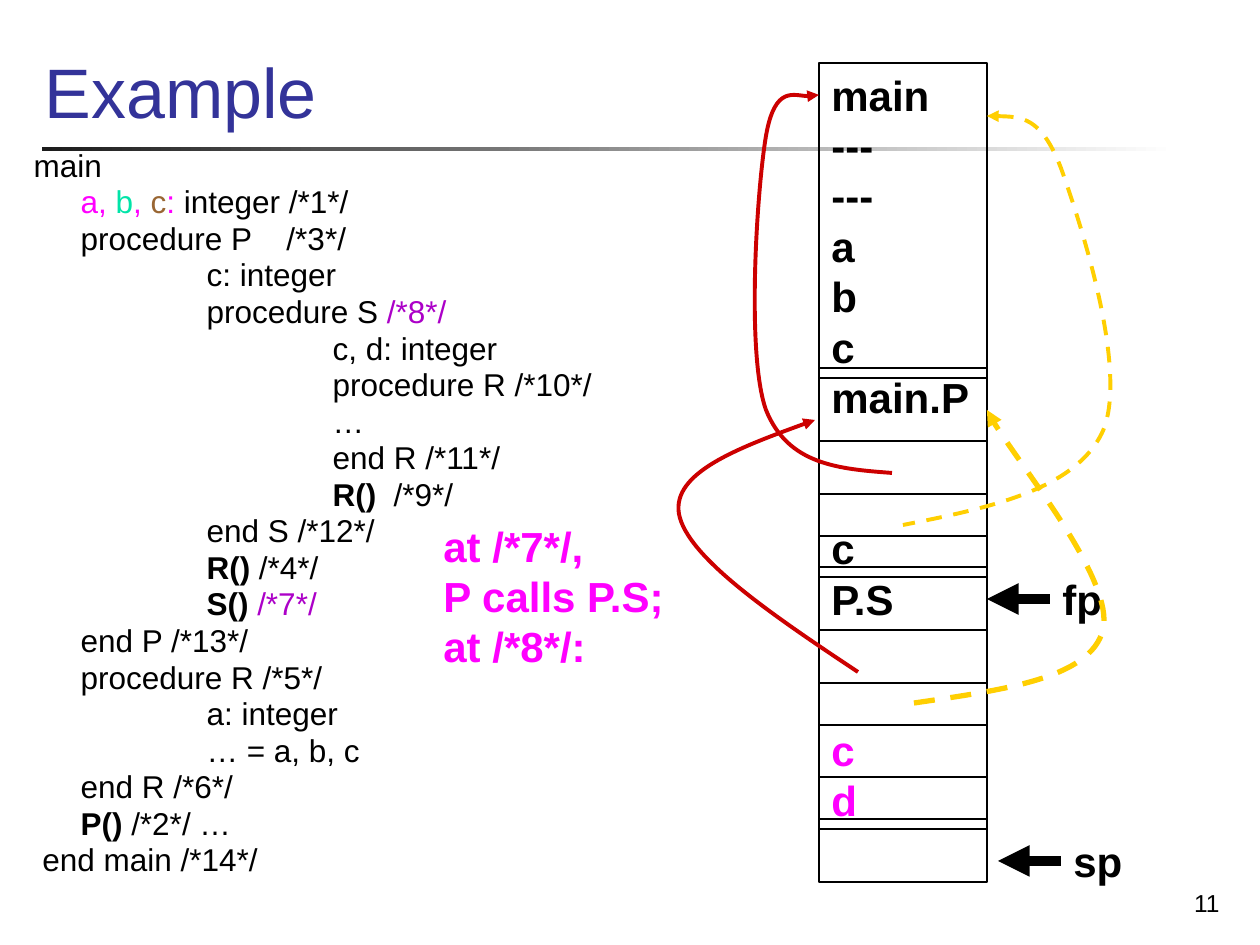
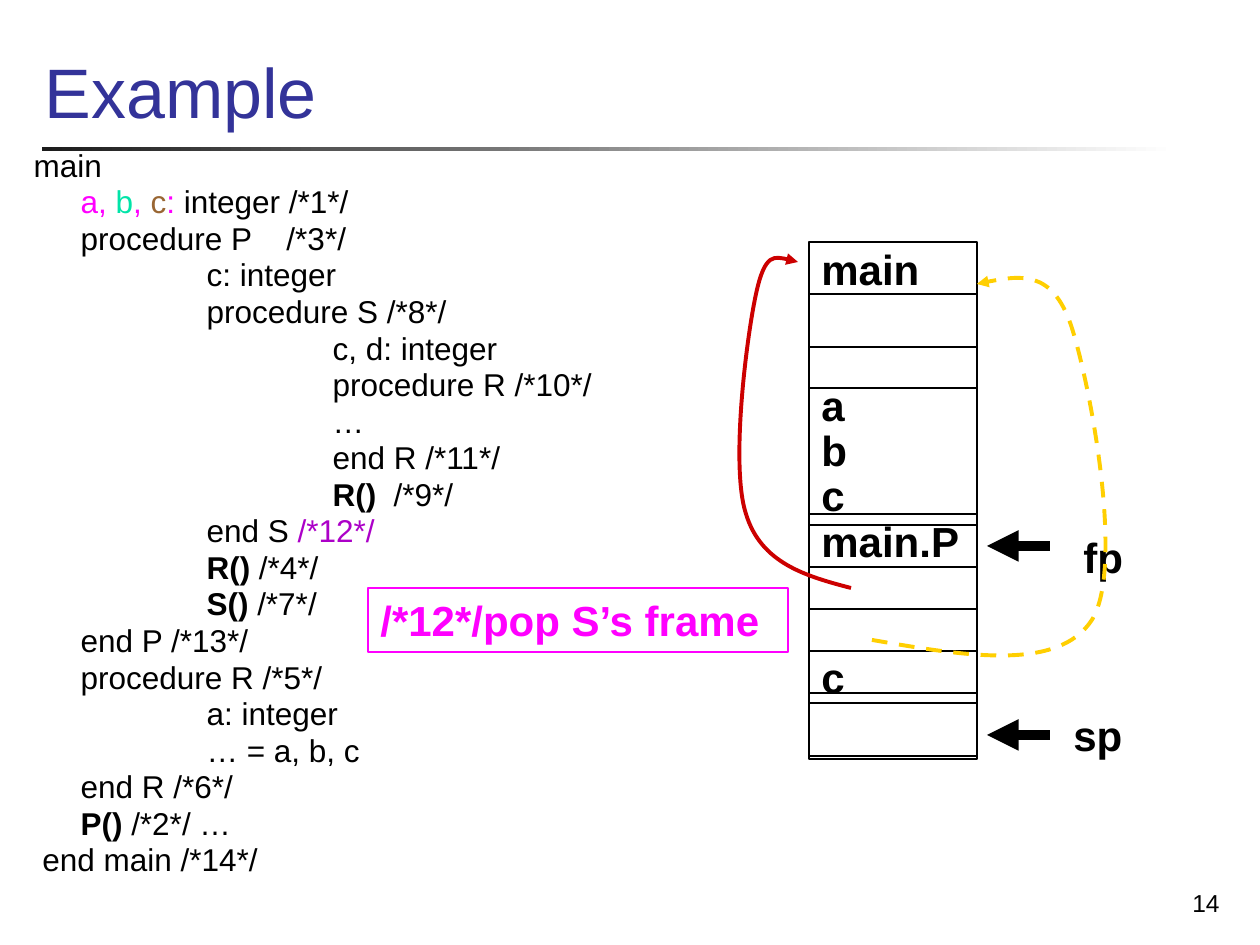
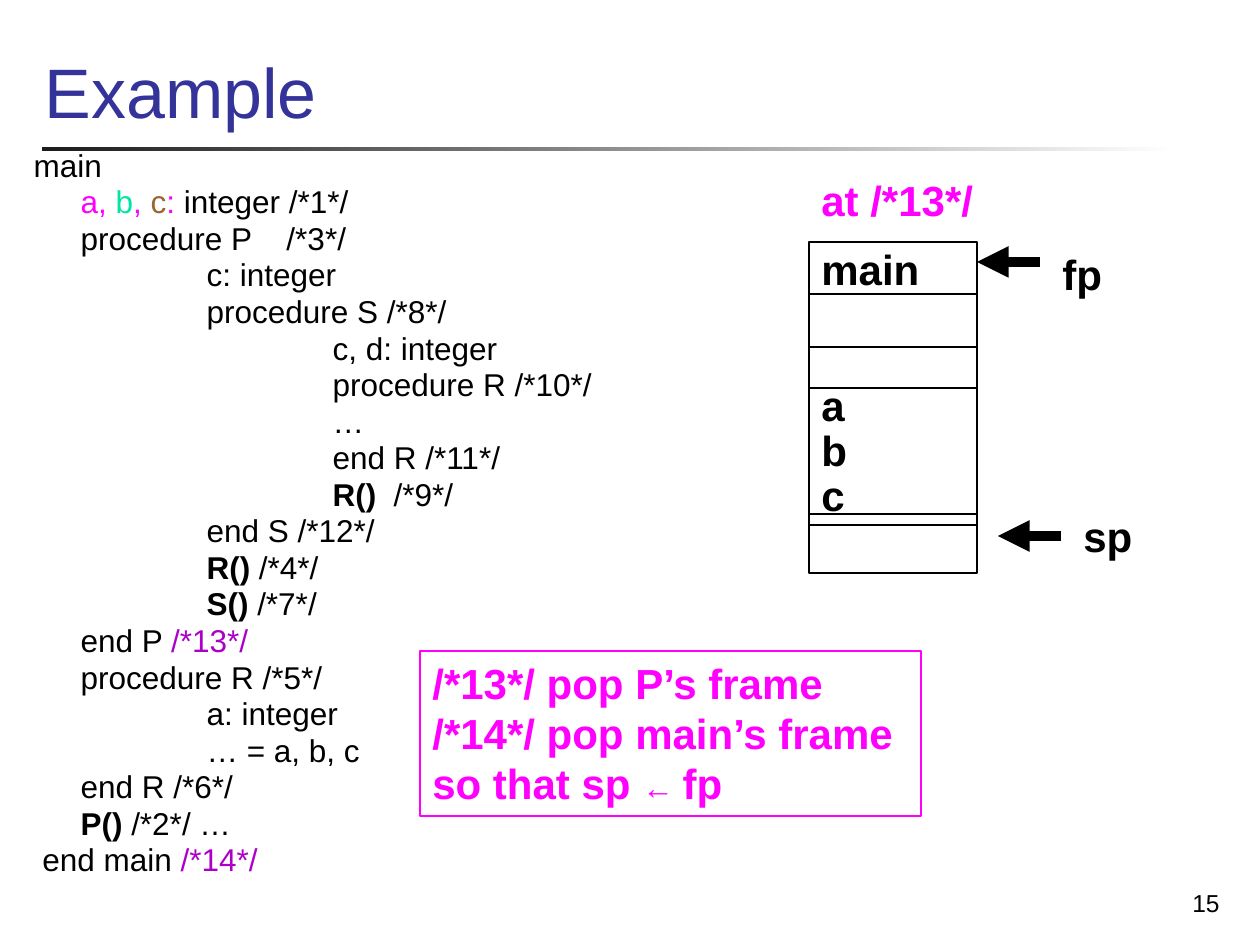
"""Build three slides that trace a call stack beside its program."""
from lxml.etree import SubElement
from pptx import Presentation
from pptx.dml.color import RGBColor
from pptx.enum.dml import MSO_LINE
from pptx.enum.shapes import MSO_CONNECTOR, MSO_SHAPE
from pptx.enum.text import MSO_ANCHOR, MSO_AUTO_SIZE, PP_ALIGN
from pptx.oxml.ns import qn
from pptx.util import Pt

SCALE = 914400 / 126
FONT = "Arial"
LEAD = 1.2

BLACK = RGBColor(0x00, 0x00, 0x00)
WHITE = RGBColor(0xFF, 0xFF, 0xFF)
DARK = RGBColor(0x1C, 0x1C, 0x1C)
BLUE = RGBColor(0x33, 0x33, 0x99)
PINK = RGBColor(0xFF, 0x00, 0xFF)
MINT = RGBColor(0x00, 0xE4, 0xA8)
BROWN = RGBColor(0x99, 0x66, 0x33)
PURPLE = RGBColor(0xAC, 0x00, 0xC8)
RED = RGBColor(0xCC, 0x00, 0x00)
GOLD = RGBColor(0xFF, 0xCF, 0x01)

HUES = {"a,": PINK, " b": MINT, ",": PINK, " c": BROWN, ": ": PINK}
CODE = [
    (0, "main"),
    (1, "a,| b|,| c|: |integer /*1*/"),
    (1, "procedure P    /*3*/"),
    (2, "c: integer"),
    (2, "procedure S |/*8*/"),
    (3, "c, d: integer"),
    (3, "procedure R /*10*/"),
    (3, "…"),
    (3, "end R /*11*/"),
    (3, "R()|  /*9*/"),
    (2, "end S |/*12*/"),
    (2, "R()| /*4*/"),
    (2, "S()| |/*7*/"),
    (1, "end P |/*13*/"),
    (1, "procedure R /*5*/"),
    (2, "a: integer"),
    (2, "… = a, b, c"),
    (1, "end R /*6*/"),
    (1, "P()| /*2*/ …"),
    (0, " end main |/*14*/"),
]


def px(*vals):
    """Turn pixels into EMU."""
    return [round(val * SCALE) for val in vals]


def place(shape, *area):
    """Move and size a shape."""
    shape.left, shape.top, shape.width, shape.height = px(*area)


def ink(run, size, hue, bold=False):
    """Format one run."""
    run.font.name = FONT
    run.font.size = Pt(size)
    run.font.bold = bold
    run.font.color.rgb = hue


def pitch(size, ratio=1):
    """Give the line height for a text size."""
    return Pt(round(size * LEAD * ratio, 2))


def add_band(deck, layout):
    """Put the fading rule on the layout."""
    slide = deck.slides[0]
    band = slide.shapes.add_shape(MSO_SHAPE.RECTANGLE, *px(42, 147, 1134, 4))
    band.shadow.inherit = False
    band.line.fill.background()
    band.fill.gradient()
    band.fill.gradient_angle = 0
    for stop, hue in zip(band.fill.gradient_stops, (DARK, WHITE)):
        stop.color.rgb = hue
    layout.shapes.element.append(band.element)


def add_title(slide):
    """Fill the title placeholder."""
    title = slide.shapes.title
    place(title, 32, 0, 1200, 139)
    frame = title.text_frame
    frame.text = "Example"
    frame.vertical_anchor = MSO_ANCHOR.BOTTOM
    frame.auto_size = MSO_AUTO_SIZE.NONE
    frame.paragraphs[0].alignment = PP_ALIGN.LEFT
    ink(frame.paragraphs[0].runs[0], 40, BLUE)


def add_page(slide, page):
    """Write the page number."""
    frame = slide.shapes.add_textbox(*px(970, 861, 262, 63)).text_frame
    frame.word_wrap = True
    frame.vertical_anchor = MSO_ANCHOR.BOTTOM
    frame.text = str(page)
    frame.paragraphs[0].alignment = PP_ALIGN.RIGHT
    ink(frame.paragraphs[0].runs[0], 14, BLACK)


def add_code(slide, marks):
    """List the program, with the marked steps in purple."""
    body = slide.placeholders[1]
    place(body, 21, 147, 599, 640)
    frame = body.text_frame
    frame.auto_size = MSO_AUTO_SIZE.NONE
    for num, (depth, text) in enumerate(CODE):
        para = frame.add_paragraph() if num else frame.paragraphs[0]
        para.line_spacing = pitch(18, 0.8)
        para.space_before = Pt(3.6 if num else 0)
        props = para._p.get_or_add_pPr()
        left = 47 + 126 * (depth - 1) if depth else 0
        props.set("marL", str(px(left)[0]))
        props.set("indent", "0")
        SubElement(props, qn("a:buNone"))
        for part in text.split("|"):
            run = para.add_run()
            run.text = part
            hue = PURPLE if part in marks else HUES.get(part, BLACK)
            ink(run, 18, hue, part.endswith("()"))


def write(frame, rows, hue=BLACK, ratio=1, fresh=()):
    """Set bold rows; an empty row only widens the gap."""
    frame.vertical_anchor = MSO_ANCHOR.TOP
    step = pitch(24, ratio)
    gap = 0
    para = None
    for num, row in enumerate(rows):
        if not row:
            gap += 1
            continue
        para = frame.add_paragraph() if para else frame.paragraphs[0]
        para.alignment = PP_ALIGN.LEFT
        para.line_spacing = step
        para.space_before = step * gap
        gap = 0
        for part in row.split("|"):
            run = para.add_run()
            run.text = part
            ink(run, 18 if "←" in part else 24, PINK if num in fresh else hue, True)


def add_box(slide, area, edge):
    """Draw an outlined box and return its text frame."""
    box = slide.shapes.add_shape(MSO_SHAPE.RECTANGLE, *px(*area))
    box.shadow.inherit = False
    box.fill.background()
    box.line.color.rgb = edge
    box.line.width = Pt(0.75)
    return box.text_frame


def add_note(slide, area, rows, hue=PINK, edge=None):
    """Write a bold note, boxed when it has an edge."""
    if edge:
        frame = add_box(slide, area, edge)
    else:
        frame = slide.shapes.add_textbox(*px(*area)).text_frame
    frame.word_wrap = False
    write(frame, rows, hue)


def add_line(slide, start, end, width):
    """Draw a straight black line."""
    line = slide.shapes.add_connector(MSO_CONNECTOR.STRAIGHT, *px(*start, *end))
    line.line.color.rgb = BLACK
    line.line.width = Pt(width)
    SubElement(line.element.spPr, qn("a:effectLst"))
    return line


def add_tip(shape, end="tailEnd"):
    """Put an arrowhead on a line."""
    stroke = shape.element.xpath(".//a:ln")[0]
    SubElement(stroke, qn("a:" + end), type="triangle")


def add_stack(slide, area, rows, cuts, ratio=1, fresh=()):
    """Draw the stack with its rows and cell lines."""
    frame = add_box(slide, area, BLACK)
    frame.word_wrap = True
    write(frame, rows, ratio=ratio, fresh=fresh)
    left, _, width, _ = area
    for cut in cuts:
        add_line(slide, (left, cut), (left + width, cut), 0.75)


def add_mark(slide, name, spot, tip):
    """Point a named register at the stack."""
    add_note(slide, (*spot, 66 if name == "fp" else 76, 64), [name], BLACK)
    left, top = tip
    add_tip(add_line(slide, (left + 63, top), tip, 6))


def add_curve(slide, dots, hue, width=2.25, dash=False, end="tailEnd"):
    """Draw a curved arrow through cubic control points."""
    draw = slide.shapes.build_freeform(*dots[0], scale=SCALE)
    draw.add_line_segments(dots[1:], close=False)
    curve = draw.convert_to_shape()
    curve.shadow.inherit = False
    curve.fill.background()
    curve.line.color.rgb = hue
    curve.line.width = Pt(width)
    if dash:
        curve.line.dash_style = MSO_LINE.DASH
    add_tip(curve, end)
    trace = curve.element.xpath(".//a:path")[0]
    legs = list(trace)[1:]
    for num in range(0, len(legs), 3):
        cubic = SubElement(trace, qn("a:cubicBezTo"))
        for leg in legs[num:num + 3]:
            cubic.append(leg[0])
            trace.remove(leg)


def fill_call(slide):
    """Show the stack after P calls S."""
    add_note(slide, (431, 514, 248, 165), ["at /*7*/, ", "P calls P.S;", "at /*8*/:"])
    rows = ["main", "---", "---", "a", "b", "c", "main.P", "", "", "c",
            "P.S", "", "", "c", "d"]
    cuts = [368, 378, 441, 494, 536, 567, 577, 630, 683, 725, 777, 819, 829]
    add_stack(slide, (819, 63, 168, 819), rows, cuts, fresh=(13, 14))
    add_mark(slide, "fp", (1050, 567), (987, 599))
    add_mark(slide, "sp", (1061, 829), (998, 861))
    add_curve(slide, [(892, 473), (839, 469), (788, 465), (766, 410), (746, 354),
                      (757, 189), (766, 136), (775, 84), (811, 100), (819, 95)], RED)
    add_curve(slide, [(987, 116), (1014, 116), (1041, 116), (1061, 168), (1080, 221),
                      (1129, 370), (1103, 431), (1076, 490), (989, 508), (903, 525)],
              GOLD, dash=True, end="headEnd")
    add_curve(slide, [(858, 672), (772, 615), (687, 557), (679, 514), (672, 473),
                      (743, 446), (815, 420)], RED)
    add_curve(slide, [(914, 703), (1002, 690), (1090, 679), (1103, 630), (1115, 581),
                      (1004, 446), (987, 410)], GOLD, 3, True)


def fill_pop(slide):
    """Show the stack after the frame of S is popped."""
    rows = ["main", "", "", "a", "b", "c", "main.P", "", "", "c"]
    cuts = [294, 347, 388, 514, 525, 567, 609, 651, 693, 703, 756]
    add_stack(slide, (809, 242, 168, 517), rows, cuts, 0.9)
    add_mark(slide, "fp", (1071, 525), (987, 546))
    add_mark(slide, "sp", (1061, 703), (987, 735))
    add_curve(slide, [(851, 588), (805, 576), (761, 563), (746, 514), (730, 465),
                      (747, 335), (756, 294), (765, 252), (781, 257), (798, 262)], RED)
    add_curve(slide, [(872, 640), (965, 656), (1058, 672), (1092, 620), (1125, 567),
                      (1090, 382), (1071, 325), (1052, 270), (1014, 276), (977, 284)],
              GOLD, dash=True)
    add_note(slide, (368, 588, 420, 64), ["/*12*/pop S’s frame"], edge=PINK)


def fill_end(slide):
    """Show the stack once only main is left."""
    rows = ["main", "", "", "a", "b", "c"]
    add_stack(slide, (809, 242, 168, 331), rows, [294, 347, 388, 514, 525], 0.9)
    add_mark(slide, "fp", (1050, 242), (977, 262))
    add_mark(slide, "sp", (1071, 504), (998, 536))
    add_note(slide, (420, 651, 501, 165),
             ["/*13*/ pop P’s frame", "/*14*/ pop main’s frame",
              "so that sp |← |fp "], edge=PINK)
    add_note(slide, (809, 168, 178, 63), ["at /*13*/"])


def main():
    """Build and save the deck."""
    deck = Presentation()
    deck.slide_width, deck.slide_height = px(1260, 945)
    layout = deck.slide_layouts[1]
    plan = [
        (11, ("/*7*/", "/*8*/"), fill_call),
        (14, ("/*12*/",), fill_pop),
        (15, ("/*13*/", "/*14*/"), fill_end),
    ]
    for page, marks, fill in plan:
        slide = deck.slides.add_slide(layout)
        add_title(slide)
        add_page(slide, page)
        fill(slide)
        add_code(slide, marks)
    add_band(deck, layout)
    deck.save("out.pptx")


main()
